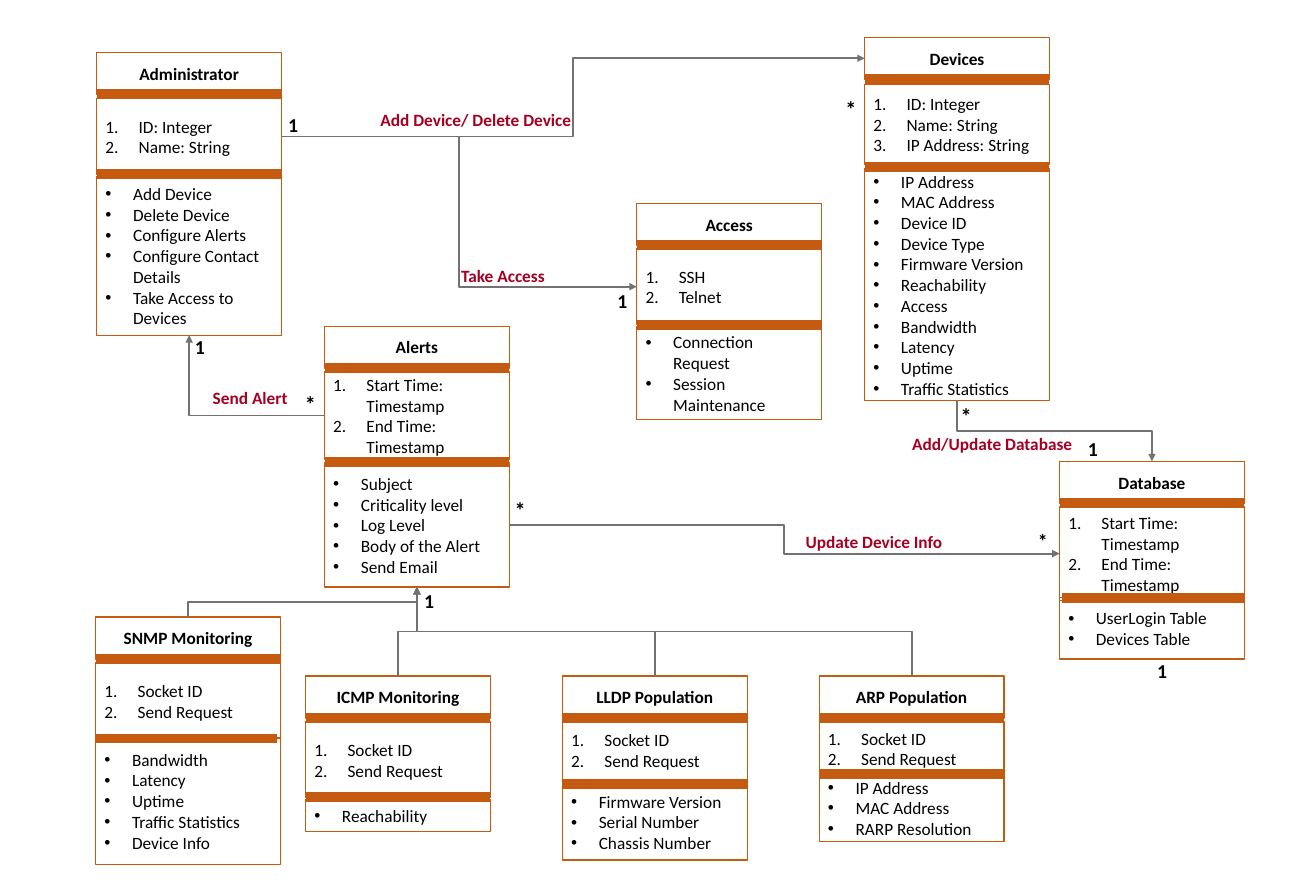
from dataclasses import dataclass

from pptx import Presentation
from pptx.dml.color import RGBColor
from pptx.enum.shapes import MSO_CONNECTOR as CXN, MSO_SHAPE as SHAPE
from pptx.enum.text import MSO_ANCHOR as ANCHOR, MSO_AUTO_SIZE as FIT, PP_ALIGN as ALIGN
from pptx.oxml.ns import qn
from pptx.util import Cm, Pt
from lxml.etree import SubElement

TOP, LEFT, BOTTOM, RIGHT = range(4)
BOX_W, HEAD_H = 5.29, 1.2


@dataclass(frozen=True)
class Theme:
    font: str = "Calibri"
    ink: str = "000000"
    frame: str = "C55A11"
    link: str = "767171"
    label: str = "A50021"
    body: int = 14
    one: int = 16
    many: int = 18
    frame_w: float = 1
    bar_w: float = 8
    link_w: float = 1.5


@dataclass
class ClassBox:
    head: object
    attrs: object
    methods: object


class Diagram:
    def __init__(self, slide, theme):
        self.shapes, self.theme = slide.shapes, theme

    def run(self, p, text, size, color, bold=False):
        r = p.add_run()
        r.text = text
        fmt = {"name": self.theme.font, "size": Pt(size), "bold": bold}
        for key, value in fmt.items():
            setattr(r.font, key, value)
        r.font.color.rgb = RGBColor.from_string(color)

    def stroke(self, sp, color, width):
        sp.line.color.rgb = RGBColor.from_string(color)
        sp.line.width = Pt(width)

    def mark(self, p, numbered):
        """Give a paragraph a number or a bullet with a hanging indent."""
        indent = Cm(0.95 if numbered else 0.79)
        pPr = p._p.get_or_add_pPr()
        pPr.set("marL", str(indent))
        pPr.set("indent", str(-indent))
        if numbered:
            SubElement(pPr, qn("a:buAutoNum"), type="arabicPeriod")
        else:
            SubElement(pPr, qn("a:buFont"), typeface="Arial")
            SubElement(pPr, qn("a:buChar"), char="•")

    def cell(self, x, y, h, lines, kind):
        t = self.theme
        sp = self.shapes.add_shape(SHAPE.RECTANGLE, Cm(x), Cm(y), Cm(BOX_W), Cm(h))
        sp.shadow.inherit = False
        sp.fill.background()
        self.stroke(sp, t.frame, t.frame_w)
        tf = sp.text_frame
        for key, value in {"word_wrap": True, "vertical_anchor": ANCHOR.MIDDLE}.items():
            setattr(tf, key, value)
        for i, line in enumerate(lines):
            p = tf.add_paragraph() if i else tf.paragraphs[0]
            p.alignment = ALIGN.CENTER if kind == "head" else ALIGN.LEFT
            if kind != "head":
                self.mark(p, kind == "attrs")
            self.run(p, line, t.body, t.ink, kind == "head")
        return sp

    def connector(self, kind, ends, color, width):
        c = self.shapes.add_connector(kind, *(Cm(v) for v in ends))
        self.stroke(c, color, width)
        SubElement(c._element.spPr, qn("a:effectLst"))
        return c

    def class_box(self, name, x, y, attrs, methods, bar_y, bar_span=(0, BOX_W)):
        """attrs and methods are (top, height, lines)."""
        box = ClassBox(self.cell(x, y, HEAD_H, [name], "head"),
                       self.cell(x, *attrs, "attrs"),
                       self.cell(x, *methods, "methods"))
        for by, (start, end) in ((y + HEAD_H, (0, BOX_W)), (bar_y, bar_span)):
            self.connector(CXN.STRAIGHT, (x + start, by, x + end, by),
                           self.theme.frame, self.theme.bar_w)
        return box

    def link(self, src, src_site, dst, dst_site):
        t = self.theme
        c = self.connector(CXN.ELBOW, (0, 0, 1, 1), t.link, t.link_w)
        c.begin_connect(src, src_site)
        c.end_connect(dst, dst_site)
        spPr = c._element.spPr
        SubElement(spPr.find(qn("a:ln")), qn("a:tailEnd"), type="triangle")
        if src_site in (TOP, BOTTOM):
            # Leaves vertically: turn the elbow a quarter about its centre
            down, left = c.end_y > c.begin_y, c.end_x < c.begin_x
            x, y, w, h = c.left, c.top, c.width, c.height
            place = {"left": x + (w - h) // 2, "top": y + (h - w) // 2,
                     "width": h, "height": w}
            for key, value in place.items():
                setattr(c, key, value)
            turn = {"rot": 270 * 60000, "flipH": int(down), "flipV": int(left)}
            for key, value in turn.items():
                spPr.find(qn("a:xfrm")).set(key, str(value))
        elif dst_site in (TOP, BOTTOM):
            spPr.find(qn("a:prstGeom")).set("prst", "bentConnector2")

    def text(self, x, y, w, text, size, color):
        sp = self.shapes.add_textbox(Cm(x), Cm(y), Cm(w), Cm(0.25 + size * 0.043))
        tf = sp.text_frame
        for key, value in {"word_wrap": False, "auto_size": FIT.SHAPE_TO_FIT_TEXT}.items():
            setattr(tf, key, value)
        self.run(tf.paragraphs[0], text, size, color, True)


def main():
    prs = Presentation()
    prs.slide_width, prs.slide_height = Cm(37.67), Cm(25.4)
    theme = Theme()
    d = Diagram(prs.slides.add_slide(prs.slide_layouts[6]), theme)

    # Classes
    identity = ["ID: Integer", "Name: String"]
    period = ["Start Time: Timestamp", "End Time: Timestamp"]
    socket = ["Socket ID", "Send Request"]
    usage = ["Bandwidth", "Latency", "Uptime", "Traffic Statistics"]
    admin = d.class_box(
        "Administrator", 2.77, 1.5, (2.82, 2.18, identity),
        (5.05, 4.55, ["Add Device", "Delete Device", "Configure Alerts",
                      "Configure Contact Details", "Take Access to Devices"]), 4.98)
    devices = d.class_box(
        "Devices", 24.75, 1.07, (2.41, 2.29, identity + ["IP Address: String"]),
        (4.83, 6.65, ["IP Address", "MAC Address", "Device ID", "Device Type",
                      "Firmware Version", "Reachability", "Access"] + usage), 4.78)
    alerts = d.class_box(
        "Alerts", 9.29, 9.34, (10.65, 2.5, period),
        (13.26, 3.55, ["Subject", "Criticality level", "Log Level",
                       "Body of the Alert", "Send Email"]), 13.22)
    database = d.class_box(
        "Database", 30.33, 13.21, (14.52, 2.67, period),
        (17.12, 1.75, ["UserLogin Table", "Devices Table"]), 17.12, (0.08, BOX_W))
    access = d.class_box(
        "Access", 18.23, 5.82, (7.12, 2.18, ["SSH", "Telnet"]),
        (9.36, 2.65, ["Connection Request", "Session Maintenance"]), 9.3)
    snmp = d.class_box(
        "SNMP Monitoring", 2.74, 17.67, (18.98, 2.18, socket),
        (21.11, 3.64, usage + ["Device Info"]), 21.15, (0, 5.18))

    # Row of evenly spaced sources
    row = [
        ("ICMP Monitoring", (20.67, 2.18), (22.9, 0.92), 22.83, ["Reachability"]),
        ("LLDP Population", (20.55, 1.88), (22.45, 2.18), 22.45,
         ["Firmware Version", "Serial Number", "Chassis Number"]),
        ("ARP Population", (20.67, 1.53), (22.17, 1.93), 22.17,
         ["IP Address", "MAC Address", "RARP Resolution"]),
    ]
    sources = [snmp] + [
        d.class_box(name, 8.75 + 7.35 * i, 19.36, (*attrs, socket), (*methods, lines), bar_y)
        for i, (name, attrs, methods, bar_y, lines) in enumerate(row)]

    # Relations
    d.link(admin.attrs, RIGHT, devices.head, LEFT)
    d.link(admin.attrs, RIGHT, access.attrs, LEFT)
    d.link(alerts.attrs, LEFT, admin.methods, BOTTOM)
    d.link(alerts.methods, RIGHT, database.attrs, LEFT)
    d.link(devices.methods, BOTTOM, database.head, TOP)
    for source in sources:
        d.link(source.head, TOP, alerts.methods, BOTTOM)

    # Relation names
    for x, y, w, name in [
        (10.64, 3.0, 6.02, "Add Device/ Delete Device"),
        (12.95, 7.47, 2.92, "Take Access"),
        (5.84, 10.97, 2.67, "Send Alert"),
        (22.81, 15.09, 4.45, "Update Device Info"),
        (25.86, 12.29, 5.13, "Add/Update Database"),
    ]:
        d.text(x, y, w, name, theme.body, theme.label)

    # Multiplicities
    for x, y in [(5.33, 9.47), (11.89, 16.74), (32.87, 18.75), (8.0, 3.1),
                 (30.89, 12.37), (17.42, 8.15)]:
        d.text(x, y, 0.81, "1", theme.one, theme.ink)
    for x, y, size in [(23.95, 2.62, theme.many), (14.48, 14.1, theme.many),
                       (8.48, 11.05, theme.many), (27.25, 11.4, theme.many),
                       (29.46, 15.01, theme.one)]:
        d.text(x, y, 0.84, "*", size, theme.ink)

    prs.save("out.pptx")


if __name__ == "__main__":
    main()
